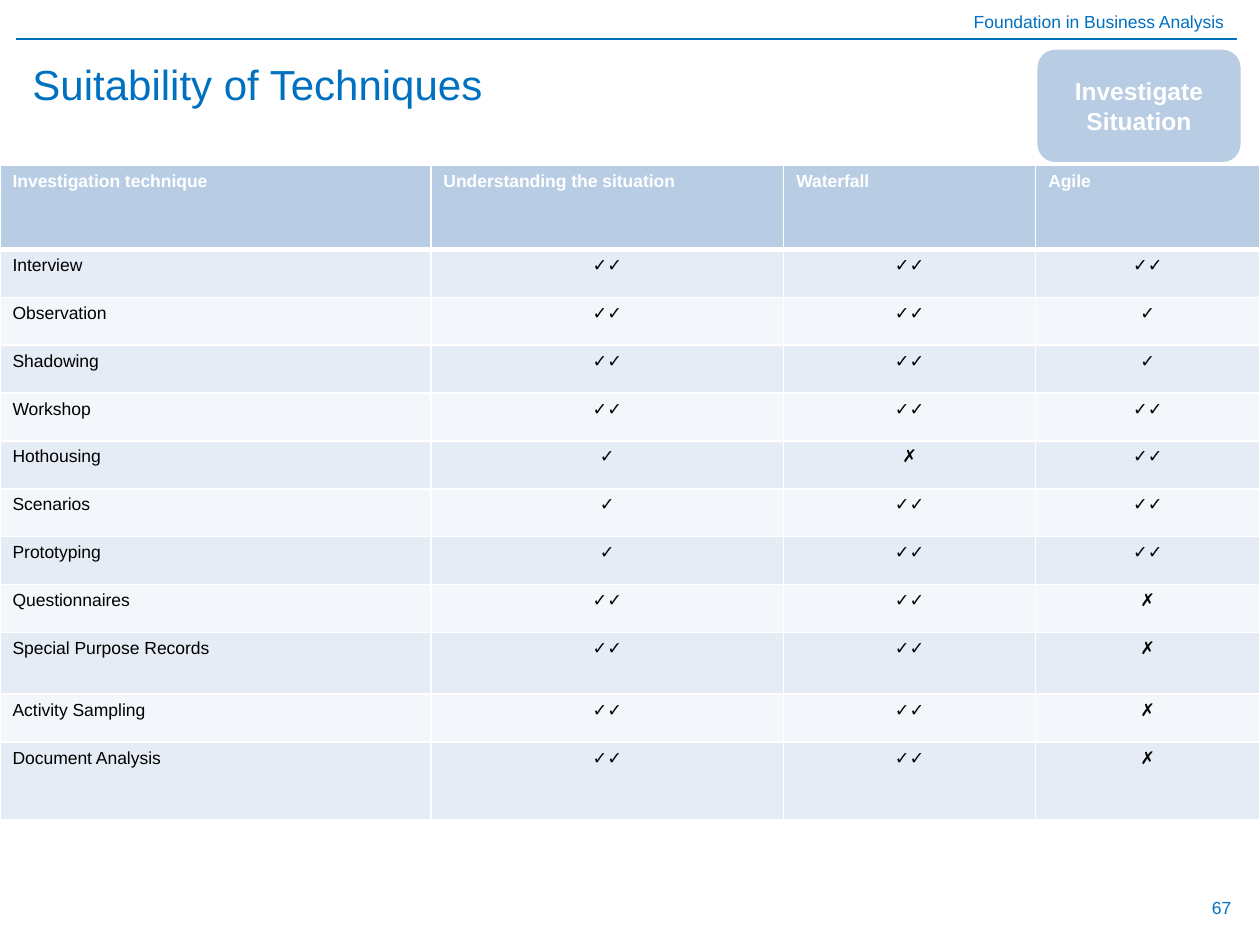
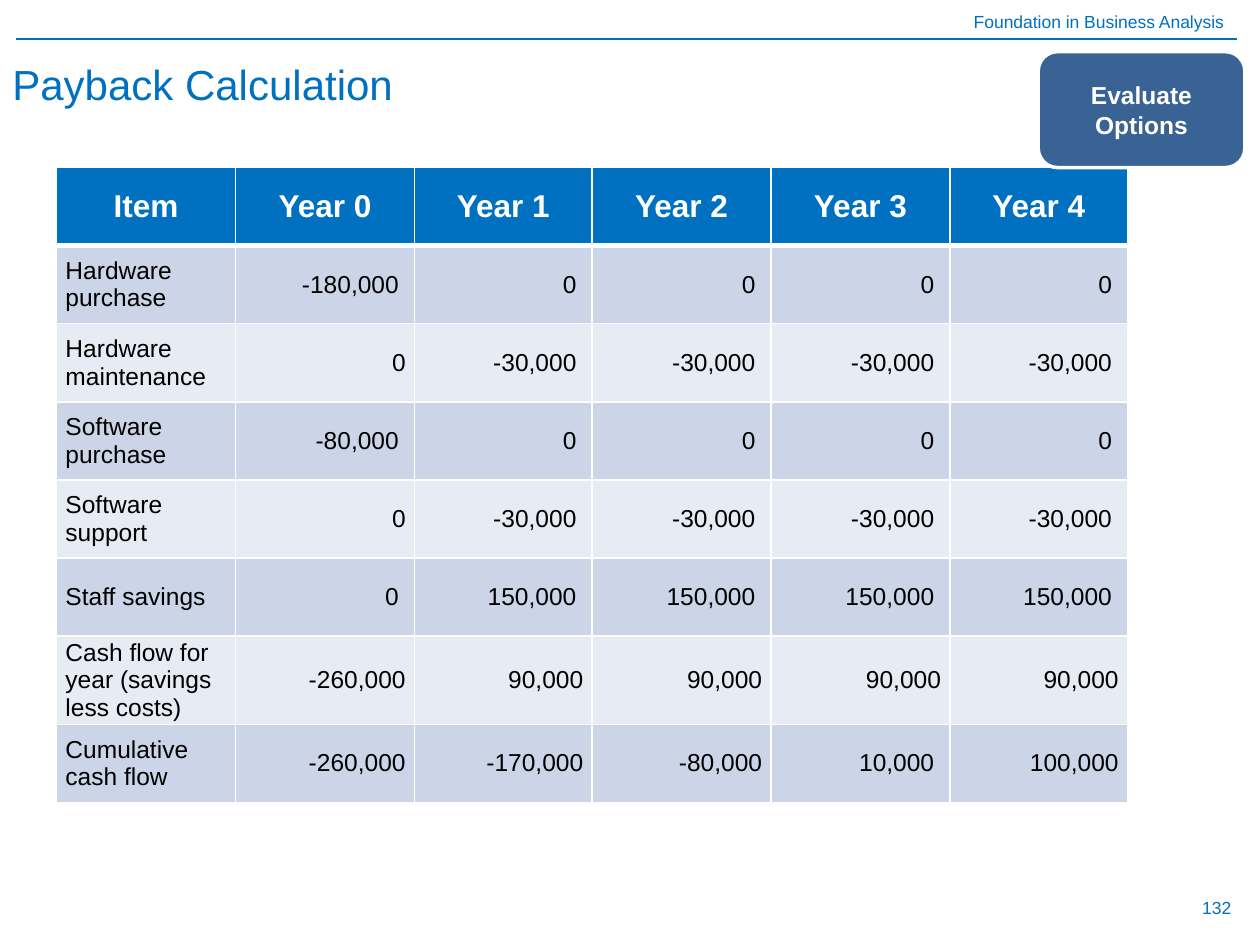
"""Builds two business analysis slides: technique suitability and payback."""
from lxml.etree import SubElement
from pptx import Presentation
from pptx.dml.color import RGBColor
from pptx.enum.shapes import MSO_CONNECTOR as Connector, MSO_SHAPE as Shape
from pptx.enum.text import MSO_ANCHOR as Anchor, PP_ALIGN as Align
from pptx.oxml.ns import qn
from pptx.util import Emu, Pt

PX = 9144
FONT = "Arial"
BLACK = RGBColor(0x00, 0x00, 0x00)
WHITE = RGBColor(0xFF, 0xFF, 0xFF)
BLUE = RGBColor(0x00, 0x70, 0xC0)
NAVY = RGBColor(0x39, 0x63, 0x95)
PALE_BLUE = RGBColor(0xB8, 0xCC, 0xE4)
TECHNIQUE_BANDS = RGBColor(0xE6, 0xEC, 0xF5), RGBColor(0xF3, 0xF6, 0xFA)
PAYBACK_BANDS = RGBColor(0xCC, 0xD5, 0xE8), RGBColor(0xE7, 0xEB, 0xF4)

COURSE = "Foundation in Business Analysis"
TECHNIQUES = [
    ["Investigation technique", "Understanding the situation", "Waterfall", "Agile"],
    ["Interview", "✓✓", "✓✓", "✓✓"],
    ["Observation", "✓✓", "✓✓", "✓"],
    ["Shadowing", "✓✓", "✓✓", "✓"],
    ["Workshop", "✓✓", "✓✓", "✓✓"],
    ["Hothousing", "✓", "✗", "✓✓"],
    ["Scenarios", "✓", "✓✓", "✓✓"],
    ["Prototyping", "✓", "✓✓", "✓✓"],
    ["Questionnaires", "✓✓", "✓✓", "✗"],
    ["Special Purpose Records", "✓✓", "✓✓", "✗"],
    ["Activity Sampling", "✓✓", "✓✓", "✗"],
    ["Document Analysis", "✓✓", "✓✓", "✗"],
]
CASH_FLOWS = [
    ["Item"] + [f"Year {year}" for year in range(5)],
    ["Hardware purchase", "-180,000 "] + ["0 "] * 4,
    ["Hardware\nmaintenance", "0"] + ["-30,000 "] * 4,
    ["Software purchase", "-80,000 "] + ["0 "] * 4,
    ["Software support", "0"] + ["-30,000 "] * 4,
    ["Staff savings", "0 "] + ["150,000 "] * 4,
    ["Cash flow for year (savings less costs)", "-260,000"] + ["90,000"] * 4,
    ["Cumulative cash flow", "-260,000", "-170,000", "-80,000", "10,000 ", "100,000"],
]


def px(*lengths):
    return [Emu(length * PX) for length in lengths]


def apply(target, formats):
    for name, value in formats.items():
        setattr(target, name, value)


class Deck:
    """Holds the shared style and the current slide."""

    def __init__(self):
        self.presentation = Presentation()
        apply(self.presentation, dict(zip(("slide_width", "slide_height"), px(1000, 750))))
        self.slide = None

    def letter(self, frame, wording, size, color, align=Align.LEFT, bold=False):
        frame.text = wording
        for paragraph in frame.paragraphs:
            paragraph.alignment = align
            apply(paragraph.font, {"name": FONT, "size": Pt(size), "bold": bold})
            paragraph.font.color.rgb = color

    def text(self, box, wording, size, align=Align.LEFT, anchor=Anchor.MIDDLE):
        frame = self.slide.shapes.add_textbox(*px(*box)).text_frame
        apply(frame, {"word_wrap": True, "vertical_anchor": anchor})
        self.letter(frame, wording, size, BLUE, align)

    def rule(self, start, end):
        rule = self.slide.shapes.add_connector(Connector.STRAIGHT, *px(*start, *end))
        rule.line.color.rgb = BLUE
        rule.line.width = Pt(0.75)
        SubElement(rule.element.spPr, qn("a:effectLst"))

    def page(self, title, title_left, number):
        self.slide = self.presentation.slides.add_slide(self.presentation.slide_layouts[6])
        self.text((0, 4, 981, 27), COURSE, 10, Align.RIGHT, Anchor.TOP)
        self.rule((13, 31), (982, 31))
        self.text((754, 700, 233, 40), str(number), 10, Align.RIGHT)
        self.text((title_left, 39, 800, 55), title, 24)

    def badge(self, left, top, stage, color):
        badge = self.slide.shapes.add_shape(Shape.ROUNDED_RECTANGLE, *px(left, top, 164, 92))
        badge.shadow.inherit = False
        badge.fill.solid()
        badge.fill.fore_color.rgb = color
        badge.line.color.rgb = WHITE
        badge.line.width = Pt(2)
        badge.text_frame.vertical_anchor = Anchor.MIDDLE
        self.letter(badge.text_frame, stage, 14, WHITE, Align.CENTER, True)

    def borders(self, cell, **widths):
        properties = cell._tc.get_or_add_tcPr()
        for index, side in enumerate(("lnL", "lnR", "lnT", "lnB")):
            line = SubElement(properties, qn(f"a:{side}"), w=str(Pt(widths.get(side, 1))))
            fill = SubElement(line, qn("a:solidFill"))
            SubElement(fill, qn("a:srgbClr"), val=str(WHITE))
            properties.insert(index, line)

    def table(self, origin, columns, heights, rows, head, bands, values, margins, anchor):
        box = px(*origin, sum(columns), sum(heights))
        table = self.slide.shapes.add_table(len(rows), len(columns), *box).table
        apply(table, {"first_row": False, "horz_banding": False})
        for column, width in zip(table.columns, px(*columns)):
            column.width = width
        for row, height in zip(table.rows, px(*heights)):
            row.height = height
        side, edge = px(*margins)
        cell_format = {"margin_left": side, "margin_right": side, "margin_top": edge,
                       "margin_bottom": edge, "vertical_anchor": anchor}
        for r, row in enumerate(rows):
            for c, wording in enumerate(row):
                cell = table.cell(r, c)
                apply(cell, cell_format)
                cell.fill.solid()
                cell.fill.fore_color.rgb = bands[(r - 1) % 2] if r else head["fill"]
                self.borders(cell, lnT=3 if r == 1 else 1, lnB=1 if r else 3)
                if r == 0:
                    self.letter(cell.text_frame, wording, head["size"], WHITE, head["align"], True)
                elif c == 0:
                    self.letter(cell.text_frame, wording, values["size"], BLACK)
                else:
                    self.letter(cell.text_frame, wording, color=BLACK, **values)


def main():
    deck = Deck()
    deck.page("Suitability of Techniques", 16, 67)
    deck.table((0, 131), [342, 280, 200, 178], [67] + [38] * 8 + [49, 38, 62], TECHNIQUES,
               {"fill": PALE_BLUE, "size": 10, "align": Align.LEFT}, TECHNIQUE_BANDS,
               {"size": 10, "align": Align.CENTER, "bold": True}, (10, 5), Anchor.TOP)
    deck.badge(822, 38, "Investigate Situation", PALE_BLUE)

    deck.page("Payback Calculation", 0, 132)
    deck.table((45, 133), [142, 142, 141] * 2, [62] * len(CASH_FLOWS), CASH_FLOWS,
               {"fill": BLUE, "size": 18, "align": Align.CENTER}, PAYBACK_BANDS,
               {"size": 14, "align": Align.RIGHT, "bold": False}, (7, 0), Anchor.MIDDLE)
    deck.badge(824, 41, "Evaluate Options", NAVY)
    deck.presentation.save("out.pptx")


if __name__ == "__main__":
    main()
